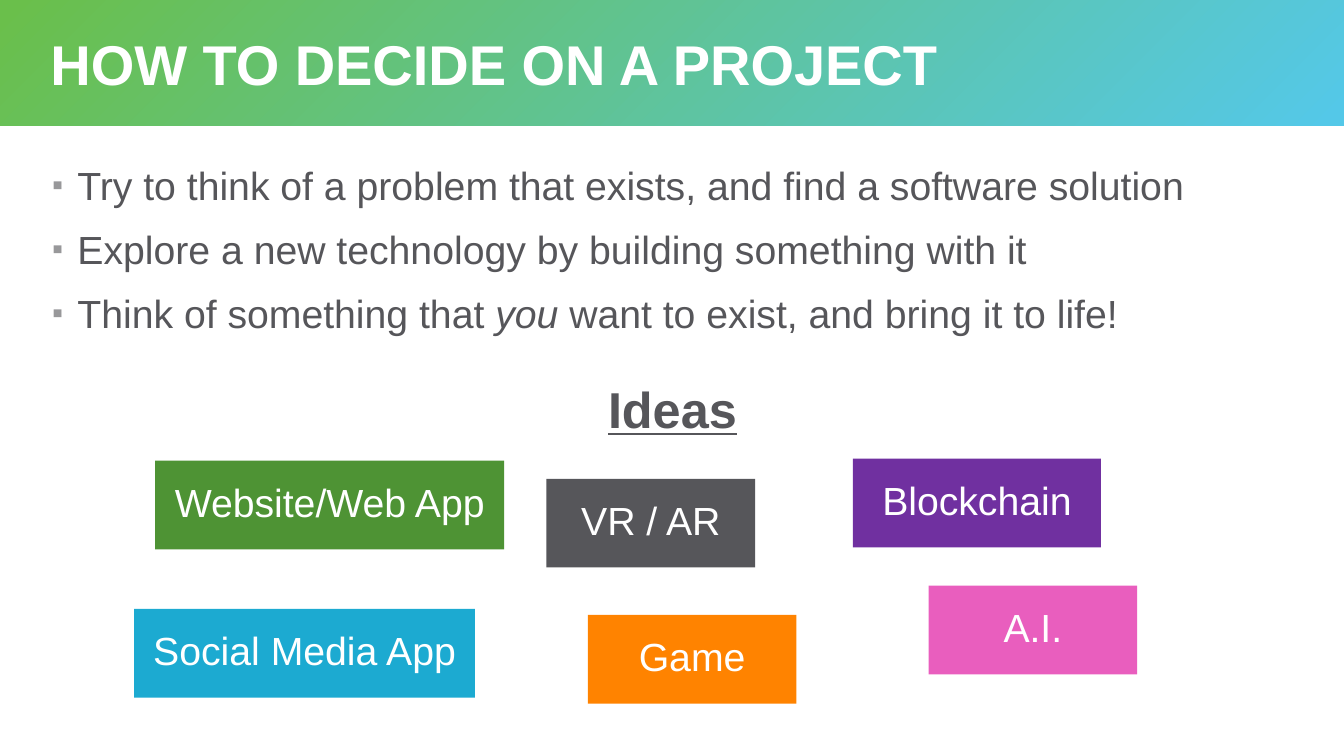
import dataclasses

import lxml.etree
import pptx
import pptx.dml.color
import pptx.enum.shapes
import pptx.enum.text
import pptx.oxml.ns
import pptx.util

Inches = pptx.util.Inches
Pt = pptx.util.Pt
ALIGN = pptx.enum.text.PP_ALIGN
ANCHOR = pptx.enum.text.MSO_ANCHOR


@dataclasses.dataclass(frozen=True)
class Theme:
    """Colours, font and type sizes of the slide."""
    font: str = "Arial"
    title_size: int = 40
    heading_size: int = 36
    body_size: int = 28
    white: str = "FFFFFF"
    text: str = "56565A"
    bullet: str = "98989A"
    band_start: str = "6ABF4B"
    band_end: str = "54C8E8"
    green: str = "4E9334"
    blue: str = "1CAAD1"
    orange: str = "FF8300"
    pink: str = "E95EBE"
    purple: str = "7030A0"


THEME = Theme()
POINTS = [
    [("Try to think of a problem that exists, and find a software solution", False)],
    [("Explore a new technology by building something with it", False)],
    [("Think of something that ", False), ("you", True),
     (" want to exist, and bring it to life!", False)],
]
IDEAS = [
    ("Social Media App", 1.33, 6.04, 3.38, THEME.blue),
    ("Website/Web App", 1.54, 4.57, 3.46, THEME.green),
    ("Game", 5.83, 6.1, 2.07, THEME.orange),
    ("A.I.", 9.21, 5.81, 2.07, THEME.pink),
    ("VR / AR", 5.42, 4.75, 2.07, THEME.text),
    ("Blockchain", 8.46, 4.55, 2.46, THEME.purple),
]
IDEA_HEIGHT = 0.88


def rgb(color):
    """Return a colour object for a hex string."""
    return pptx.dml.color.RGBColor.from_string(color)


def style(font, size, color, bold=False):
    """Set the family, size, colour and weight of a font."""
    font.name = THEME.font
    font.size = Pt(size)
    font.bold = bold
    font.color.rgb = rgb(color)


def set_frame(tf, anchor, left=0.1, top=0.1, right=0.1, bottom=0.1):
    """Set wrapping, anchor and insets of a text frame."""
    tf.word_wrap = True
    tf.vertical_anchor = anchor
    tf.margin_left, tf.margin_top = Inches(left), Inches(top)
    tf.margin_right, tf.margin_bottom = Inches(right), Inches(bottom)


def add_box(s, x, y, w, h):
    """Add a plain rectangle without line or shadow."""
    sp = s.shapes.add_shape(pptx.enum.shapes.MSO_SHAPE.RECTANGLE,
                            Inches(x), Inches(y), Inches(w), Inches(h))
    sp.shadow.inherit = False
    sp.line.fill.background()
    return sp


def add_title(s, x, y, w, h, text):
    """Add the gradient title band."""
    sp = add_box(s, x, y, w, h)
    sp.fill.gradient()
    sp.fill.gradient_angle = 315
    colors = (THEME.band_start, THEME.band_end)
    for stop, color, position in zip(sp.fill.gradient_stops, colors, (0.01, 0.99)):
        stop.color.rgb = rgb(color)
        stop.position = position
    tf = sp.text_frame
    set_frame(tf, ANCHOR.MIDDLE, left=0.5, bottom=0)
    p = tf.paragraphs[0]
    p.text = text
    p.alignment = ALIGN.LEFT
    p.line_spacing = 0.85
    style(p.runs[0].font, THEME.title_size, THEME.white, bold=True)


def add_bullet(p):
    """Give a paragraph a hanging square bullet."""
    pPr = p._p.get_or_add_pPr()
    pPr.set("marL", str(Inches(0.25)))
    pPr.set("indent", str(Inches(-0.25)))
    qn = pptx.oxml.ns.qn
    color = lxml.etree.SubElement(pPr, qn("a:buClr"))
    lxml.etree.SubElement(color, qn("a:srgbClr"), val=THEME.bullet)
    lxml.etree.SubElement(pPr, qn("a:buSzPct"), val="80000")
    lxml.etree.SubElement(pPr, qn("a:buFont"), typeface=THEME.font)
    lxml.etree.SubElement(pPr, qn("a:buChar"), char="▪")


def add_body(s, x, y, w, h, points, heading):
    """Add the bullet points and the centred heading below them."""
    tf = s.shapes.add_textbox(Inches(x), Inches(y), Inches(w), Inches(h)).text_frame
    set_frame(tf, ANCHOR.TOP)
    for i, parts in enumerate(points):
        p = tf.add_paragraph() if i else tf.paragraphs[0]
        add_bullet(p)
        p.space_after = Pt(12)
        for text, italic in parts:
            r = p.add_run()
            r.text = text
            style(r.font, THEME.body_size, THEME.text)
            r.font.italic = italic
    p = tf.add_paragraph()
    p.text = heading
    p.alignment = ALIGN.CENTER
    p.space_before = Pt(18)
    style(p.runs[0].font, THEME.heading_size, THEME.text, bold=True)
    p.runs[0].font.underline = True


def add_idea(s, x, y, w, h, text, color):
    """Add one coloured idea box."""
    sp = add_box(s, x, y, w, h)
    sp.fill.solid()
    sp.fill.fore_color.rgb = rgb(color)
    set_frame(sp.text_frame, ANCHOR.MIDDLE)
    p = sp.text_frame.paragraphs[0]
    p.text = text
    p.alignment = ALIGN.CENTER
    p.line_spacing = 0.9
    style(p.runs[0].font, THEME.body_size, THEME.white)


def main():
    """Build and save the slide."""
    prs = pptx.Presentation()
    prs.slide_width, prs.slide_height = Inches(13.33), Inches(7.5)
    s = prs.slides.add_slide(prs.slide_layouts[6])
    add_title(s, 0, 0, 13.33, 1.25, "HOW TO DECIDE ON A PROJECT")
    add_body(s, 0.42, 1.5, 12.5, 3.5, POINTS, "Ideas")
    for text, x, y, w, color in IDEAS:
        add_idea(s, x, y, w, IDEA_HEIGHT, text, color)
    prs.save("out.pptx")


if __name__ == "__main__":
    main()
